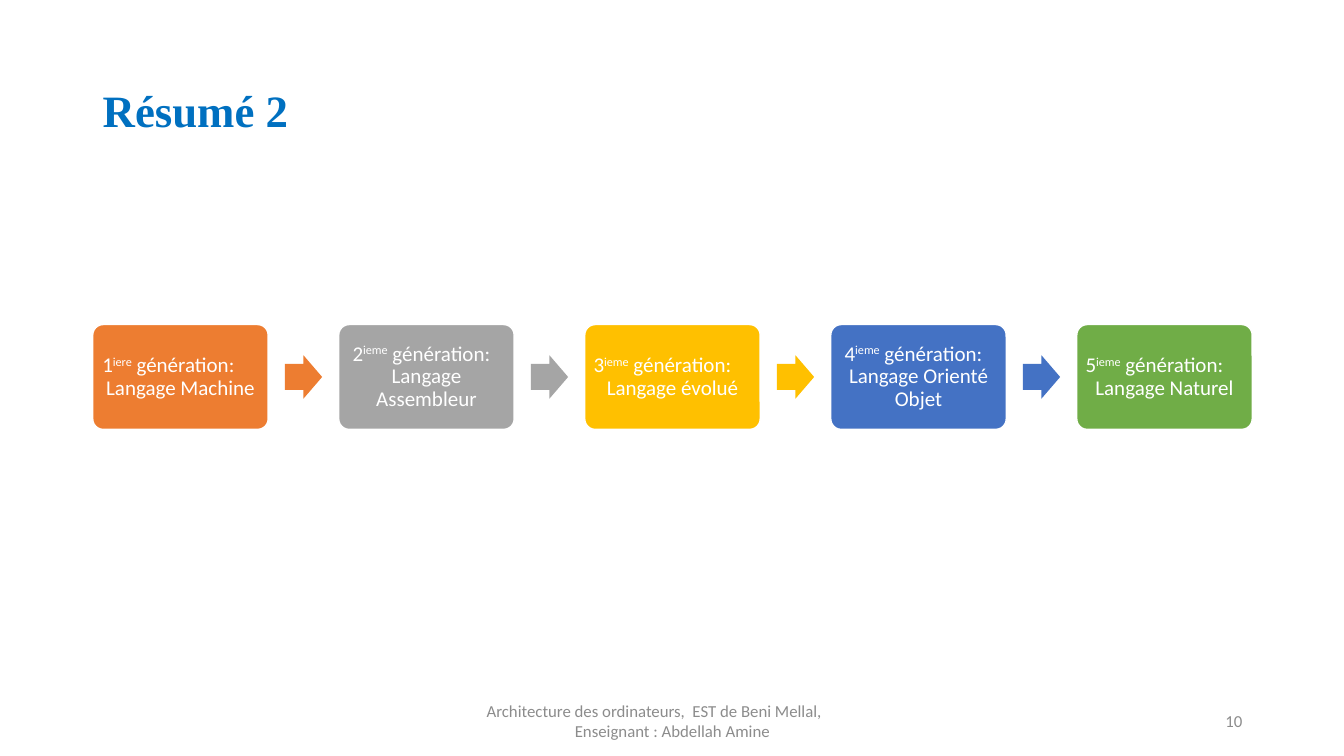
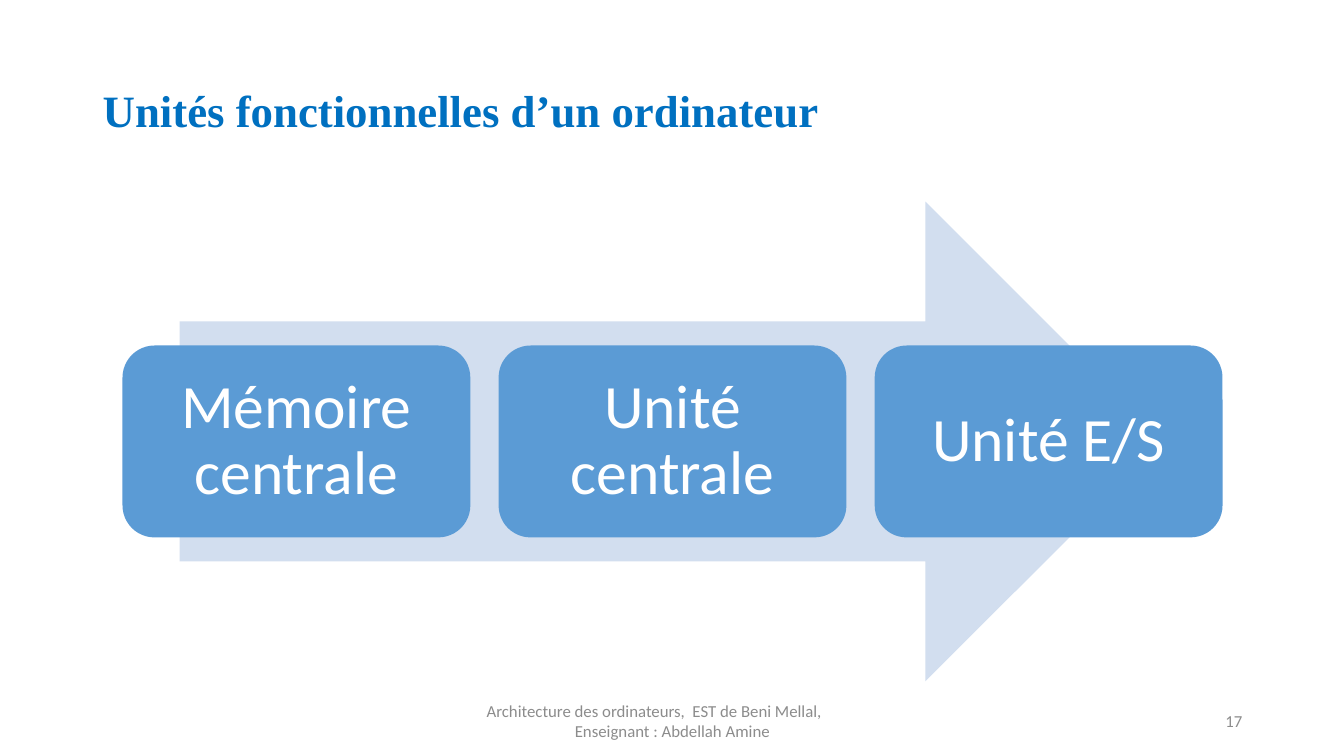
import pptx
import pptx.dml.color
import pptx.enum.shapes
import pptx.enum.text
import pptx.util

Inches = pptx.util.Inches
SHAPES = pptx.enum.shapes.MSO_SHAPE
ALIGN = pptx.enum.text.PP_ALIGN

COLORS = {
    "title": "0070C0", "footer": "8C8C8C", "white": "FFFFFF",
    "orange": "ED7D31", "gray": "A5A5A5", "gold": "FFC000",
    "blue": "4472C4", "green": "70AD47",
    "band": "D2DEEF", "unit": "5B9BD5",
}
BODY_FONT, TITLE_FONT = "Calibri", "Times New Roman"
TITLE_BOX = (0.92, 0.4, 11.5, 1.45)
FOOTER_BOX = (4.42, 6.95, 4.5, 0.4)
NUMBER_BOX = (9.42, 6.95, 3, 0.4)
FOOTER_LINES = ["Architecture des ordinateurs,  EST de Beni Mellal,",
                "Enseignant : Abdellah Amine"]

# ordinal, its suffix, language, colour, outdent of the first line
GENERATIONS = [
    ("1", "iere", "Langage Machine", "orange", 0.24),
    ("2", "ieme", "Langage Assembleur", "gray", 0.1),
    ("3", "ieme", "Langage évolué", "gold", 0.2),
    ("4", "ieme", "Langage Orienté Objet", "blue", 0.1),
    ("5", "ieme", "Langage Naturel", "green", 0.2),
]
UNITS = ["Mémoire centrale", "Unité centrale", "Unité E/S"]


def rgb(name):
    return pptx.dml.color.RGBColor.from_string(COLORS[name])


def write(frame, lines, size, color="white", font=BODY_FONT, bold=False,
          align=ALIGN.CENTER, spacing=1.0, insets=(0.1, 0.05), outdent=0):
    """Fill a frame with lines, each a string or a list of (text, raised) runs.

    Lines after the first are indented by outdent.
    """
    frame.word_wrap = True
    frame.vertical_anchor = pptx.enum.text.MSO_ANCHOR.MIDDLE
    frame.margin_left = frame.margin_right = Inches(insets[0])
    frame.margin_top = frame.margin_bottom = Inches(insets[1])
    for index, line in enumerate(lines):
        paragraph = frame.add_paragraph() if index else frame.paragraphs[0]
        paragraph.alignment = align
        paragraph.line_spacing = spacing
        if index and outdent:
            paragraph._p.get_or_add_pPr().set("marL", str(Inches(outdent)))
        for text, raised in [(line, False)] if isinstance(line, str) else line:
            run = paragraph.add_run()
            run.text = text
            run.font.size = pptx.util.Pt(size)
            run.font.name = font
            run.font.bold = bold
            run.font.color.rgb = rgb(color)
            if raised:
                run._r.get_or_add_rPr().set("baseline", "30000")


def add_text(slide, box, lines, size, outdent=0, **style):
    """Add a text box, widened to the left by outdent."""
    left, top, width, height = box
    label = slide.shapes.add_textbox(Inches(left - outdent), Inches(top),
                                     Inches(width + outdent), Inches(height))
    write(label.text_frame, lines, size, outdent=outdent, **style)


def add_block(slide, kind, box, color, adjustments=(), outlined=False):
    block = slide.shapes.add_shape(kind, *(Inches(length) for length in box))
    block.shadow.inherit = False
    block.fill.solid()
    block.fill.fore_color.rgb = rgb(color)
    if outlined:
        block.line.color.rgb = rgb("white")
        block.line.width = pptx.util.Pt(1)
    else:
        block.line.fill.background()
    for index, value in enumerate(adjustments):
        block.adjustments[index] = value
    return block


def add_page(deck, title, number):
    """Add a slide with the shared title, footer and page number."""
    slide = deck.slides.add_slide(deck.slide_layouts[6])
    add_text(slide, TITLE_BOX, [title], 32, color="title", font=TITLE_FONT,
             bold=True, align=ALIGN.LEFT, spacing=0.9)
    add_text(slide, FOOTER_BOX, FOOTER_LINES, 12, color="footer", outdent=0.36)
    add_text(slide, NUMBER_BOX, [str(number)], 12, color="footer",
             align=ALIGN.RIGHT)
    return slide


def add_generation_flow(slide, box):
    """Spread the generation cards over the box, with an arrow in each gap."""
    left, top, width, height = box
    card_width, arrow_width, arrow_height = 1.74, 0.37, 0.43
    pitch = (width - card_width) / (len(GENERATIONS) - 1)
    arrow_offset = card_width + (pitch - card_width - arrow_width) / 2
    arrow_top = top + (height - arrow_height) / 2
    for index, (ordinal, suffix, language, color, outdent) in enumerate(GENERATIONS):
        x = left + index * pitch
        card = (x, top, card_width, height)
        add_block(slide, SHAPES.ROUNDED_RECTANGLE, card, color, [0.1], outlined=True)
        heading = [(ordinal, False), (suffix, True), (" génération:", False)]
        add_text(slide, card, [heading, language], 15, spacing=0.9,
                 insets=(0.09, 0.09), outdent=outdent)
        if index < len(GENERATIONS) - 1:
            add_block(slide, SHAPES.RIGHT_ARROW,
                      (x + arrow_offset, arrow_top, arrow_width, arrow_height),
                      color, [0.6, 0.5])


def add_unit_arrow(slide, box):
    """Lay the unit cards in a row over a broad arrow."""
    left, top, width, height = box
    arrow_width = 0.85 * width
    add_block(slide, SHAPES.RIGHT_ARROW,
              (left + (width - arrow_width) / 2, top, arrow_width, height),
              "band", [0.5, 0.5])
    card_width, card_height, gap = 3.45, 0.4 * height, 0.28
    row_width = len(UNITS) * (card_width + gap) - gap
    row_left = left + (width - row_width) / 2
    for index, unit in enumerate(UNITS):
        card = add_block(slide, SHAPES.ROUNDED_RECTANGLE,
                         (row_left + index * (card_width + gap),
                          top + (height - card_height) / 2,
                          card_width, card_height), "unit")
        write(card.text_frame, [unit], 44, spacing=0.9, insets=(0.18, 0.18))


def main():
    deck = pptx.Presentation()
    deck.slide_width, deck.slide_height = Inches(13.33), Inches(7.5)
    add_generation_flow(add_page(deck, "Résumé 2", 10), (0.92, 3.22, 11.5, 1.04))
    add_unit_arrow(add_page(deck, "Unités fonctionnelles d’un ordinateur", 17),
                   (0.92, 2, 11.5, 4.76))
    deck.save("out.pptx")


if __name__ == "__main__":
    main()
